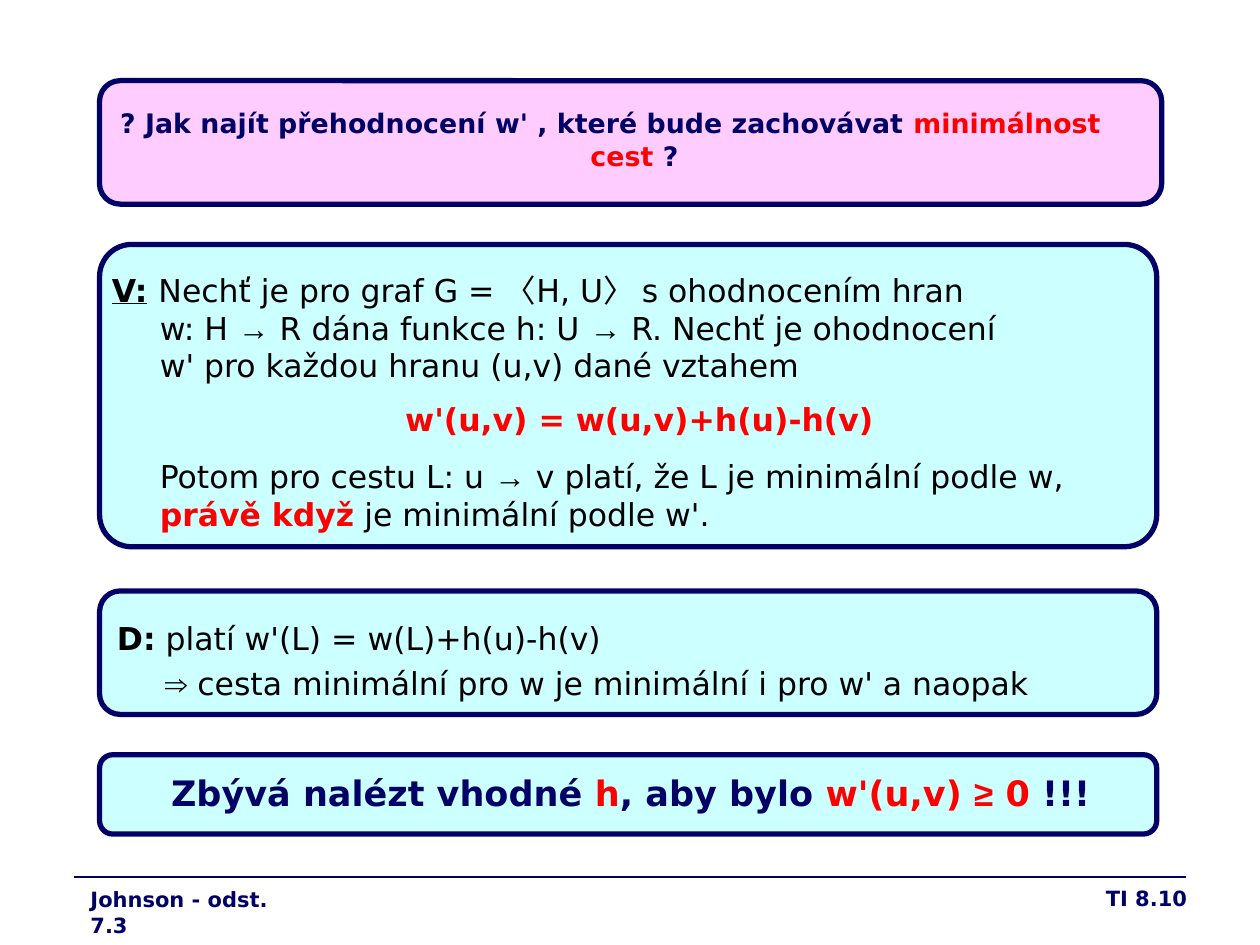
from itertools import groupby

from lxml import etree
from pptx import Presentation
from pptx import util as u
from pptx.dml.color import RGBColor
from pptx.enum import shapes, text
from pptx.oxml.ns import qn

NAVY, RED, BLACK = "000066", "FF0000", "000000"
CYAN, PINK = "CCFFFF", "FFCCFF"
FONT, SYMBOL_FONT, SYMBOLS = "DejaVu Sans", "Arial", "〈〉→⇒≥"
SLIDE_W, SLIDE_H = 10, 7.5
LEFT, PANEL_W, INDENT = 0.79, 8.39, 0.38
LEFT_AL, CENTER, RIGHT = text.PP_ALIGN.LEFT, text.PP_ALIGN.CENTER, text.PP_ALIGN.RIGHT

# Content: a paragraph is (runs, paragraph format); a run is (words, run format)
KEY = dict(color=RED, bold=True)
QUESTION = [
    ([("? Jak najít přehodnocení w' , které bude zachovávat ", {}),
      ("minimálnost cest ", KEY), ("?", {})],
     dict(align=CENTER, margin=INDENT, first=-INDENT)),
]
THEOREM = [
    ([("V:", dict(bold=True, underline=True)), (" ", dict(bold=True)),
      ("Nechť je pro graf G = 〈H, U〉 s ohodnocením hran", {})],
     dict(margin=INDENT, first=-INDENT)),
    ([("w: H → R dána funkce h: U → R. Nechť je ohodnocení", {})], dict(margin=INDENT)),
    ([("w' pro každou hranu (u,v) dané vztahem", {})], dict(margin=INDENT)),
    ([("w'(u,v) = w(u,v)+h(u)-h(v)", KEY)],
     dict(align=CENTER, margin=INDENT, before=9)),
    ([("Potom pro cestu L: u → v platí, že L je minimální podle w, ", {}),
      ("právě když", KEY), (" je minimální podle w'.", {})],
     dict(margin=INDENT, before=11)),
]
PROOF = [
    ([("D:", dict(bold=True)), (" platí w'(L) = w(L)+h(u)-h(v)", {})],
     dict(spacing=1.3)),
    ([("⇒ cesta minimální pro w je minimální i pro w' a naopak", {})],
     dict(margin=INDENT, before=4.5)),
]
REMAINING = [
    ([("Zbývá nalézt vhodné", {}), (" h", KEY), (", aby bylo", {}),
      (" w'(u,v) ≥ 0 ", KEY), ("!!!", {})], dict(align=CENTER)),
]
SOURCE = [([("Johnson - odst. 7.3", {})], {})]
PAGE = [([("TI 8.10", {})], dict(align=RIGHT))]

# Panels: top, width, height, corner, fill
PANELS = [
    (0.64, PANEL_W + 0.04, 0.98, 0.167, PINK),
    (1.94, PANEL_W, 2.4, 0.106, CYAN),
    (4.69, PANEL_W, 0.98, 0.167, CYAN),
    (5.99, PANEL_W, 0.63, 0.167, CYAN),
]
HEADING = dict(color=NAVY, bold=True)
# Texts: content, (left, top, width, height), format
TEXTS = [
    (THEOREM, (LEFT, 2.1, 8.19, 2.28), dict(size=18)),
    (PROOF, (0.83, 4.77, 8.27, 0.82), dict(size=18)),
    (REMAINING, (0.83, 6.07, 8.35, 0.47), dict(size=20, **HEADING)),
    (SOURCE, (0.62, 6.99, 1.7, 0.3), dict(size=12, **HEADING)),
    (PAGE, (7.44, 6.98, 2.08, 0.36), dict(size=12, **HEADING)),
]


def rgb(value):
    return RGBColor.from_string(value)


def inches(box):
    return [u.Inches(length) for length in box]


def add_run(paragraph, words, size, color=BLACK, bold=False, underline=False):
    """Add words, switching to the symbol font wherever a symbol occurs."""
    for is_symbol, letters in groupby(words, lambda letter: letter in SYMBOLS):
        run = paragraph.add_run()
        run.text = "".join(letters)
        font = run.font
        font.name = SYMBOL_FONT if is_symbol else FONT
        font.size, font.bold, font.underline = u.Pt(size), bold, underline
        font.color.rgb = rgb(color)


def format_paragraph(paragraph, align=LEFT_AL, margin=0, first=0, before=0, spacing=1.0):
    paragraph.alignment = align
    paragraph.space_before, paragraph.line_spacing = u.Pt(before), spacing
    properties = paragraph._p.get_or_add_pPr()
    properties.set("marL", str(u.Inches(margin)))
    properties.set("indent", str(u.Inches(first)))


def write(holder, paragraphs, **run_format):
    frame = holder.text_frame
    frame.word_wrap, frame.auto_size = True, text.MSO_AUTO_SIZE.NONE
    frame.vertical_anchor = text.MSO_ANCHOR.TOP
    for index, (runs, layout) in enumerate(paragraphs):
        paragraph = frame.add_paragraph() if index else frame.paragraphs[0]
        format_paragraph(paragraph, **layout)
        for words, change in runs:
            add_run(paragraph, words, **{**run_format, **change})


def add_panel(slide, top, width, height, corner, fill):
    panel = slide.shapes.add_shape(shapes.MSO_SHAPE.ROUNDED_RECTANGLE,
                                   *inches((LEFT, top, width, height)))
    panel.adjustments[0] = corner
    panel.shadow.inherit = False
    panel.fill.solid()
    panel.fill.fore_color.rgb = rgb(fill)
    panel.line.color.rgb, panel.line.width = rgb(NAVY), u.Pt(3)


def add_footer_rule(slide):
    rule = slide.shapes.add_connector(shapes.MSO_CONNECTOR.STRAIGHT,
                                      *inches((0.59, 6.96, SLIDE_W - 0.59, 6.96)))
    rule.line.color.rgb, rule.line.width = rgb(NAVY), u.Pt(0.75)
    etree.SubElement(rule._element.spPr, qn("a:effectLst"))


def main():
    deck = Presentation()
    deck.slide_width, deck.slide_height = inches((SLIDE_W, SLIDE_H))
    slide = deck.slides.add_slide(deck.slide_layouts[5])

    add_footer_rule(slide)
    for panel in PANELS:
        add_panel(slide, *panel)

    # Question in the title placeholder, brought in front of its panel
    title = slide.shapes.title
    title.left, title.top, title.width, title.height = inches((0.83, 0.8, 8.03, 0.63))
    write(title, QUESTION, size=15.3, **HEADING)
    slide.shapes._spTree.append(title._element)

    # Theorem, proof, conclusion and footer
    for paragraphs, box, run_format in TEXTS:
        write(slide.shapes.add_textbox(*inches(box)), paragraphs, **run_format)

    deck.save("out.pptx")


if __name__ == "__main__":
    main()
